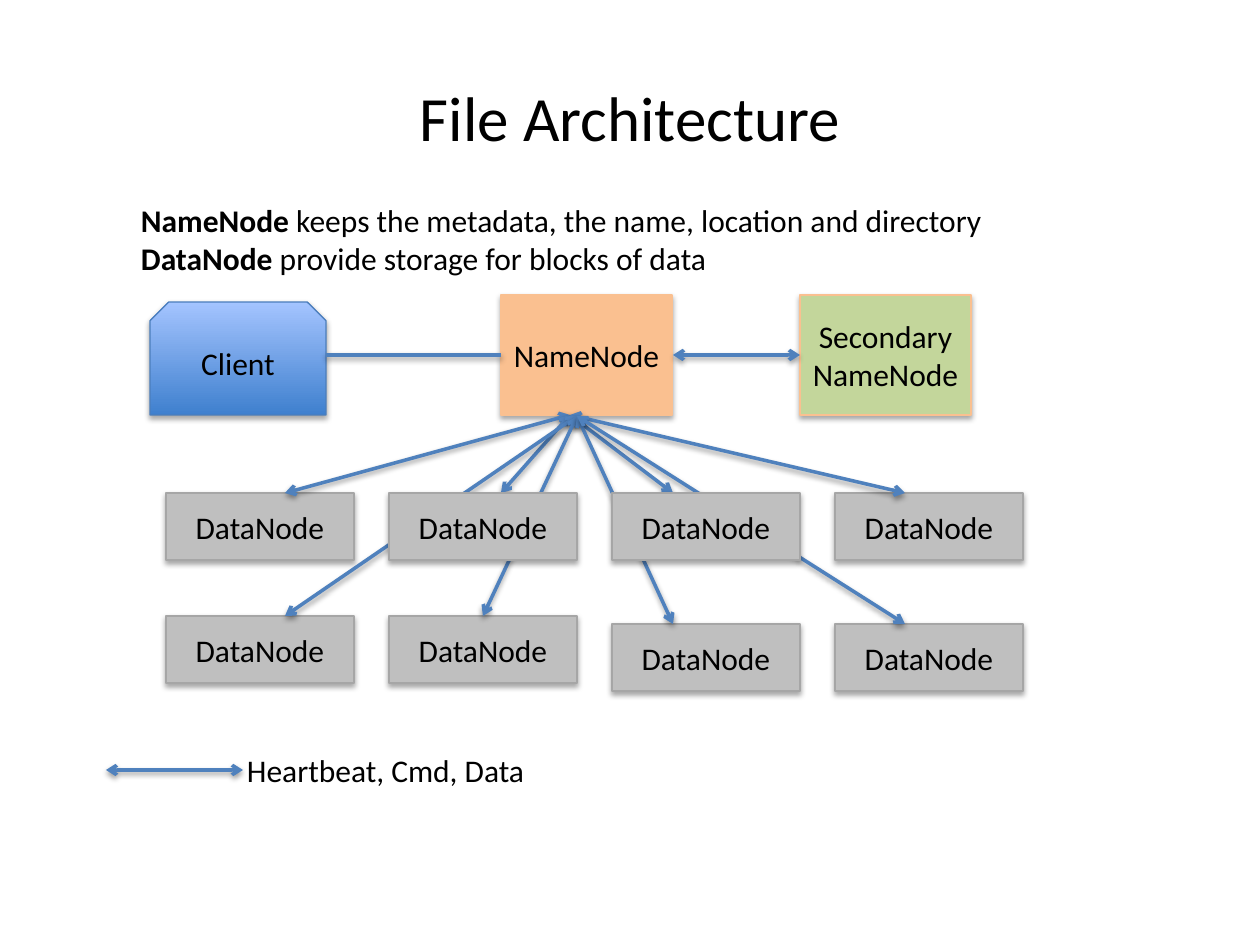
import pptx
import pptx.util
import pptx.dml.color
import pptx.enum.shapes
import pptx.enum.text
import pptx.oxml
import pptx.oxml.ns

SCALE = 914400 / 126  # EMU per px
COLORS = {
    "text": "000000", "link": "4F81BD", "name": "FAC090", "secondary": "C3D69B",
    "data": "BFBFBF", "data_line": "A6A6A6", "client_line": "4B7EBC",
    "client_low": "3F80CE", "client_high": "A4C4FF",
}
SHAPES = pptx.enum.shapes.MSO_SHAPE
ALIGN = pptx.enum.text.PP_ALIGN
ANCHOR = pptx.enum.text.MSO_ANCHOR


def emu(*lengths):
    return [pptx.util.Emu(round(length * SCALE)) for length in lengths]


def color(name):
    return pptx.dml.color.RGBColor.from_string(COLORS[name])


def write(box, paragraphs, size=18, align=ALIGN.LEFT, anchor=ANCHOR.TOP, inset=13):
    """Fill a box with paragraphs, each a list of (text, bold) spans."""
    frame = box.text_frame
    frame.word_wrap = True
    frame.vertical_anchor = anchor
    frame.margin_left, frame.margin_right = emu(inset, inset)
    for index, spans in enumerate(paragraphs):
        para = frame.paragraphs[0] if index == 0 else frame.add_paragraph()
        para.alignment = align
        for text, bold in spans:
            span = para.add_run()
            span.text = text
            span.font.name = "Calibri"
            span.font.size = pptx.util.Pt(size)
            span.font.bold = bold
            span.font.color.rgb = color("text")


def add_shadow(properties, distance, alpha):
    properties.append(pptx.oxml.parse_xml(
        f'<a:effectLst {pptx.oxml.ns.nsdecls("a")}>'
        f'<a:outerShdw blurRad="40000" dist="{distance}" dir="5400000" rotWithShape="0">'
        f'<a:srgbClr val="000000"><a:alpha val="{alpha}000"/></a:srgbClr>'
        '</a:outerShdw></a:effectLst>'))


class Diagram:
    def __init__(self, slide):
        self.slide = slide

    def text(self, place, paragraphs, **style):
        box = self.slide.shapes.add_textbox(*emu(*place))
        write(box, paragraphs, **style)

    def node(self, place, label, fill, line, kind=SHAPES.RECTANGLE):
        box = self.slide.shapes.add_shape(kind, *emu(*place))
        if isinstance(fill, tuple):
            box.fill.gradient()
            box.fill.gradient_angle = 90
            for stop, name in zip(box.fill.gradient_stops, fill):
                stop.color.rgb = color(name)
        else:
            box.fill.solid()
            box.fill.fore_color.rgb = color(fill)
        box.line.color.rgb = color(line)
        box.line.width = pptx.util.Pt(0.75)
        add_shadow(box._element.spPr, 23000, 35)
        write(box, [[(label, False)]], align=ALIGN.CENTER, anchor=ANCHOR.MIDDLE, inset=8)

    def link(self, start, end, arrows=True):
        line = self.slide.shapes.add_connector(
            pptx.enum.shapes.MSO_CONNECTOR.STRAIGHT, *emu(*start, *end))
        line.line.color.rgb = color("link")
        line.line.width = pptx.util.Pt(2)
        if arrows:
            for tag in ("headEnd", "tailEnd"):
                line.line._get_or_add_ln().append(pptx.oxml.parse_xml(
                    f'<a:{tag} {pptx.oxml.ns.nsdecls("a")} type="arrow"/>'))
        add_shadow(line._element.spPr, 20000, 38)


def main():
    deck = pptx.Presentation()
    deck.slide_width, deck.slide_height = emu(1260, 945)
    page = Diagram(deck.slides.add_slide(deck.slide_layouts[6]))

    # Title
    page.text((63, 38, 1134, 157), [[("File Architecture", False)]],
              size=36, align=ALIGN.CENTER, anchor=ANCHOR.MIDDLE)

    # NameNode and the outer data nodes
    page.node((501, 295, 171, 120), "NameNode", "name", "name")
    columns = [166 + 223 * index for index in range(4)]
    upper, lower = [493] * 4, [616, 616, 624, 624]

    def data_node(column, tops):
        page.node((columns[column], tops[column], 188, 67),
                  "DataNode", "data", "data_line")

    for column in (0, 3):
        data_node(column, upper)
    for column in range(4):
        data_node(column, lower)

    # Links from the NameNode, behind the inner upper nodes
    for hub, ends, tops in (((570, 415), (285, 501, 673, 905), upper),
                            ((577, 416), (285, 483, 673, 905), lower)):
        for end in zip(ends, tops):
            page.link(hub, end)
    for column in (1, 2):
        data_node(column, upper)

    # Secondary NameNode and client
    page.node((800, 295, 171, 120), "Secondary NameNode", "secondary", "name")
    page.link((673, 355), (800, 355))
    page.node((150, 302, 176, 113), "Client", ("client_low", "client_high"),
              "client_line", kind=SHAPES.SNIP_2_SAME_RECTANGLE)
    page.link((326, 355), (501, 355), arrows=False)

    # Legend
    page.text((234, 745, 310, 50), [[("Heartbeat, Cmd, Data", False)]])
    page.link((106, 770), (243, 770))

    # Explanation
    page.text((128, 195, 945, 89), [
        [("NameNode", True),
         (" keeps the metadata, the name, location and directory", False)],
        [("DataNode", True), (" provide storage for blocks of data", False)],
    ])

    deck.save("out.pptx")


if __name__ == "__main__":
    main()
